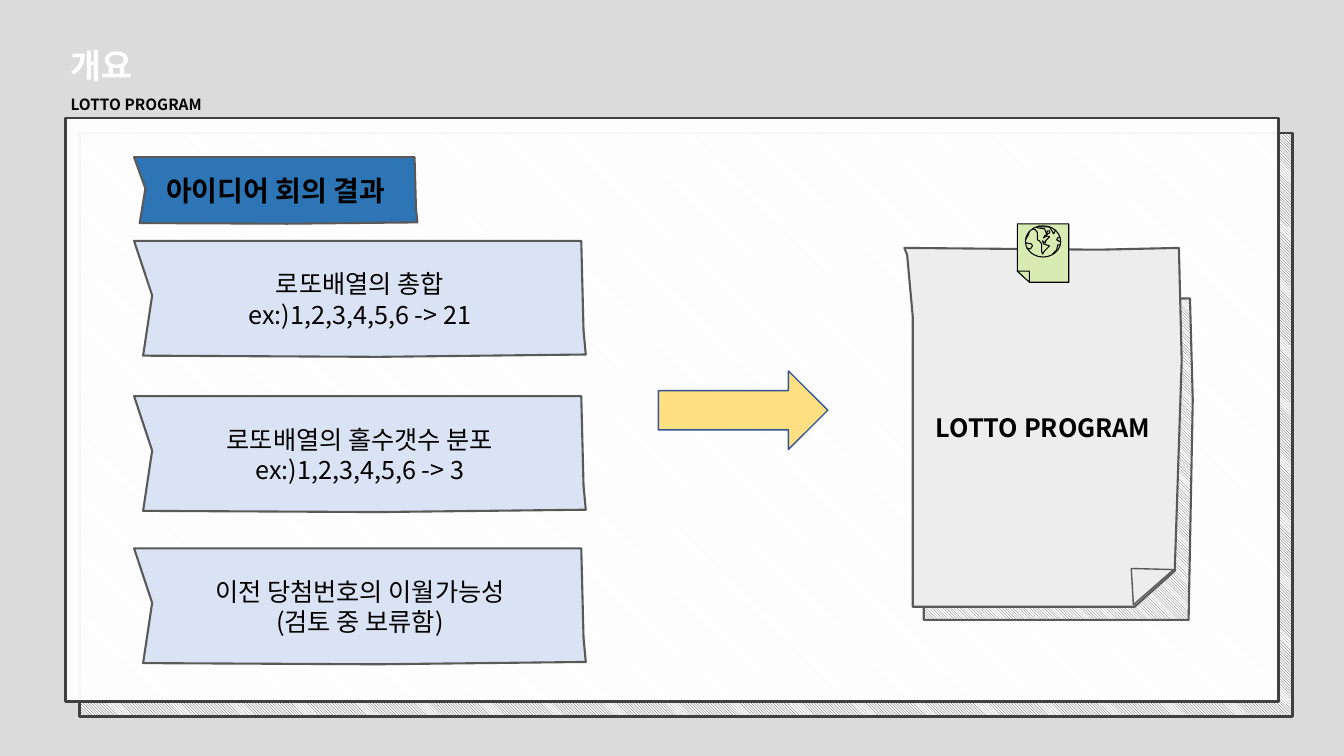
from pptx import Presentation
from pptx.dml.color import RGBColor
from pptx.enum.dml import MSO_PATTERN
from pptx.enum.shapes import MSO_SHAPE as Preset
from pptx.enum.text import MSO_ANCHOR as Anchor, MSO_AUTO_SIZE as AutoSize, PP_ALIGN as Align
from pptx.oxml.ns import qn
from pptx.util import Inches, Pt
from lxml import etree

FONT = "Noto Sans CJK KR"
COLORS = {
    "background": "DBDBDB", "white": "FFFFFF", "black": "000000",
    "frame": "404040", "outline": "595959", "header": "2E75B6",
    "idea": "DAE3F3", "paper": "EDEDED", "note": "D8EBB3",
    "arrow": "FFC000", "arrow line": "325491",
}

# Content: text, size, bold, colour
TITLE = [("개요", 24, True, "white"), ("LOTTO PROGRAM", 11, True, "black")]
HEADER = "아이디어 회의 결과"
IDEAS = [
    (2.39, ["로또배열의 총합", "ex:)1,2,3,4,5,6 -> 21"]),
    (3.93, ["로또배열의 홀수갯수 분포", "ex:)1,2,3,4,5,6 -> 3"]),
    (5.44, ["이전 당첨번호의 이월가능성", "(검토 중 보류함)"]),
]
RESULT = "LOTTO PROGRAM"

# Outlines as fractions of the box they fill
RIBBON = [(0, 0), (0.99, 0), (0.995, 0.77), (1, 0.98), (0.54, 1), (0.02, 0.99), (0.04, 0.47)]
SHEET_TOP = [(0, 0), (0.7, 0.005), (0.99, 0), (1, 0.315)]
SHEET_LEFT = [(0.03, 1), (0.03, 0.83), (0.03, 0.52), (0.03, 0.19), (0.01, 0.02)]
BACK_SHEET = SHEET_TOP + [(0.985, 1), (0.83, 1)] + SHEET_LEFT
FRONT_SHEET = SHEET_TOP + [(0.975, 0.9), (0.83, 1)] + SHEET_LEFT
SHEET_FOLD = [(0.05, 1), (1, 0.03), (0, 0)]
NOTE = [(0, 0), (1, 0), (1, 1), (0.24, 1), (0, 0.81)]
NOTE_FOLD = [(0, 0), (1, 0), (1, 1)]

# Land on the globe, in inches
AMERICAS = [
    (10.24, 2.27), (10.27, 2.28), (10.29, 2.31), (10.29, 2.38), (10.31, 2.39),
    (10.33, 2.42), (10.33, 2.49), (10.34, 2.52), (10.36, 2.49), (10.41, 2.44),
    (10.35, 2.42), (10.34, 2.39), (10.37, 2.41), (10.37, 2.39), (10.41, 2.35),
    (10.38, 2.34), (10.35, 2.36), (10.36, 2.34), (10.41, 2.31), (10.41, 2.29),
    (10.39, 2.29), (10.38, 2.32), (10.36, 2.27), (10.29, 2.26), (10.28, 2.25),
]
COASTS = [
    AMERICAS,
    [(10.3, 2.24), (10.32, 2.25), (10.41, 2.25), (10.45, 2.32), (10.47, 2.28)],
    [(10.17, 2.38), (10.2, 2.33), (10.21, 2.29)],
    [(10.17, 2.42), (10.18, 2.41), (10.23, 2.42), (10.24, 2.44), (10.22, 2.47), (10.18, 2.46)],
    [(10.44, 2.52), (10.48, 2.48), (10.49, 2.43), (10.52, 2.43)],
    [(10.52, 2.4), (10.48, 2.38), (10.49, 2.36), (10.51, 2.35)],
]


def rgb(name):
    return RGBColor.from_string(COLORS[name])


def style(shape, fill, line, width, opacity=None):
    shape.shadow.inherit = False
    shape.line.color.rgb = rgb(line)
    shape.line.width = Pt(width)
    if fill is None:
        shape.fill.background()
        return
    shape.fill.solid()
    shape.fill.fore_color.rgb = rgb(fill)
    if opacity is not None:
        color = shape._element.spPr.find(qn("a:solidFill"))[0]
        etree.SubElement(color, qn("a:alpha"), val=str(opacity * 1000))


def hatch(shape, color):
    shape.fill.patterned()
    shape.fill.pattern = MSO_PATTERN.DARK_DOWNWARD_DIAGONAL
    shape.fill.fore_color.rgb = rgb(color)
    shape.fill.back_color.rgb = rgb("white")


def add_preset(page, kind, box, *look):
    shape = page.shapes.add_shape(kind, *map(Inches, box))
    style(shape, *look)
    return shape


def add_paths(page, paths, close, *look):
    paths = [[(Inches(x), Inches(y)) for x, y in path] for path in paths]
    builder = page.shapes.build_freeform(*paths[0][0], scale=1.0)
    for number, path in enumerate(paths):
        if number:
            builder.move_to(*path[0])
        builder.add_line_segments(path[1:], close=close)
    shape = builder.convert_to_shape()
    style(shape, *look)
    return shape


def add_outline(page, outline, box, *look):
    left, top, width, height = box
    points = [(left + x * width, top + y * height) for x, y in outline]
    return add_paths(page, [points], True, *look)


def write(shape, rows, align=Align.CENTER, anchor=Anchor.MIDDLE):
    frame = shape.text_frame
    frame.word_wrap = True
    frame.vertical_anchor = anchor
    for number, (text, size, bold, color) in enumerate(rows):
        para = frame.add_paragraph() if number else frame.paragraphs[0]
        para.text = text
        para.alignment = align
        para.line_spacing = 1.0
        para.font.name = FONT
        para.font.size = Pt(size)
        para.font.bold = bold
        para.font.color.rgb = rgb(color)
        latin = para._p.pPr.find(qn("a:defRPr")).find(qn("a:latin"))
        latin.addnext(latin.makeelement(qn("a:ea"), {"typeface": FONT}))


def main():
    deck = Presentation()
    deck.slide_width, deck.slide_height = Inches(13.33), Inches(7.5)
    page = deck.slides.add_slide(deck.slide_layouts[5])
    page.background.fill.solid()
    page.background.fill.fore_color.rgb = rgb("background")

    # Title and subtitle
    title = page.shapes.title
    title.left, title.top, title.width, title.height = map(Inches, (0.6, 0.4, 6.03, 0.78))
    write(title, TITLE, Align.LEFT, Anchor.TOP)
    title.text_frame.auto_size = AutoSize.SHAPE_TO_FIT_TEXT
    title.text_frame.paragraphs[1].line_spacing = 1.5

    # Framed panel over its hatched shade
    shade = add_preset(page, Preset.RECTANGLE, (0.79, 1.32, 12.03, 5.79), "white", "frame", 2)
    hatch(shade, "frame")
    add_preset(page, Preset.RECTANGLE, (0.65, 1.17, 12.03, 5.79), "white", "frame", 2, 95)

    # Ribbons
    header = add_outline(page, RIBBON, (1.33, 1.56, 2.81, 0.66), "header", "outline", 1.5)
    write(header, [(HEADER, 20, True, "black")])
    for top, lines in IDEAS:
        ribbon = add_outline(page, RIBBON, (1.33, top, 4.48, 1.15), "idea", "outline", 1.5)
        write(ribbon, [(line, 18, False, "black") for line in lines])

    # Arrow to the result
    add_preset(page, Preset.RIGHT_ARROW, (6.53, 3.68, 1.68, 0.78), "arrow", "arrow line", 1, 49)

    # Paper sheets
    back = add_outline(page, BACK_SHEET, (9.08, 2.96, 2.75, 3.19), "white", "outline", 1.5)
    hatch(back, "outline")
    front = add_outline(page, FRONT_SHEET, (8.97, 2.46, 2.75, 3.56), "paper", "outline", 1.5)
    write(front, [(RESULT, 18, True, "black")])
    add_outline(page, SHEET_FOLD, (11.22, 5.64, 0.42, 0.36), "paper", "outline", 1)

    # Sticky note with a globe
    add_outline(page, NOTE, (10.09, 2.22, 0.51, 0.58), "note", "black", 0.75)
    add_outline(page, NOTE_FOLD, (10.09, 2.69, 0.12, 0.11), "note", "black", 0.75)
    add_preset(page, Preset.OVAL, (10.17, 2.24, 0.35, 0.31), "note", "black", 0.75)
    add_paths(page, COASTS, False, None, "black", 0.75)

    deck.save("out.pptx")


if __name__ == "__main__":
    main()
